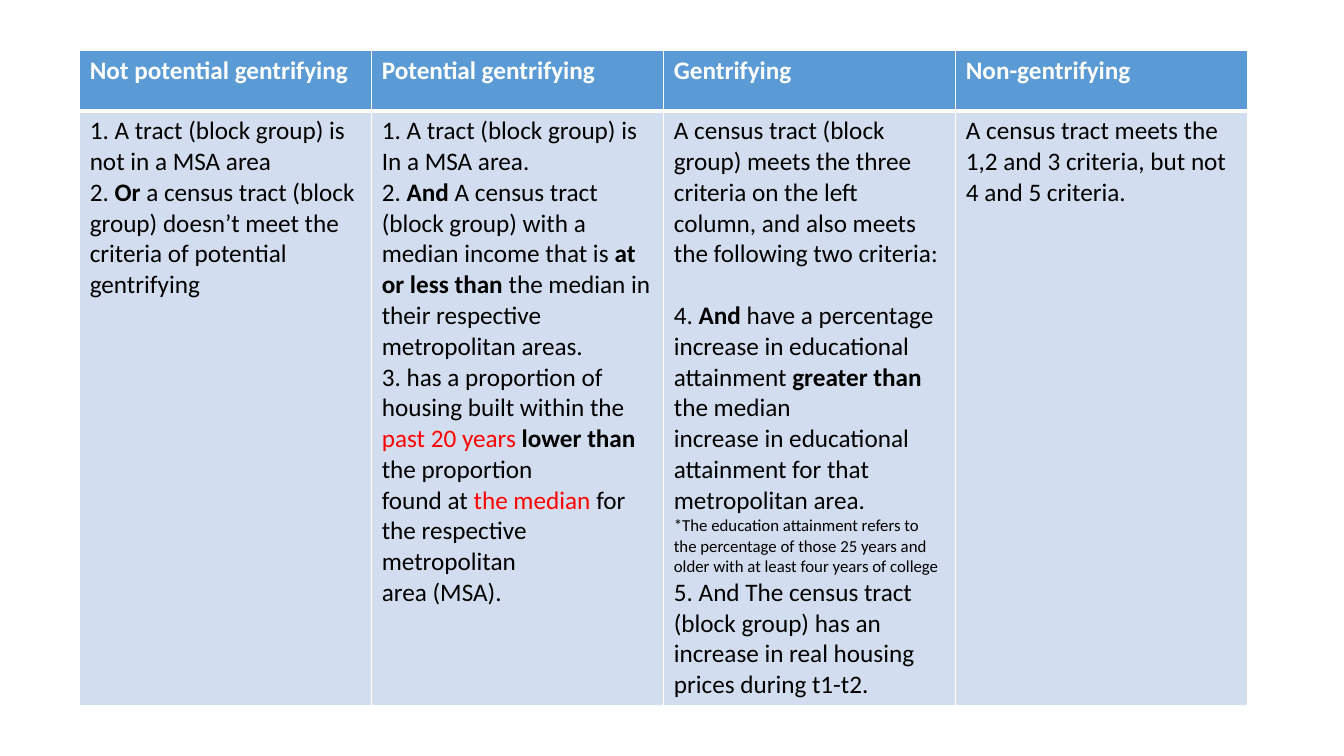
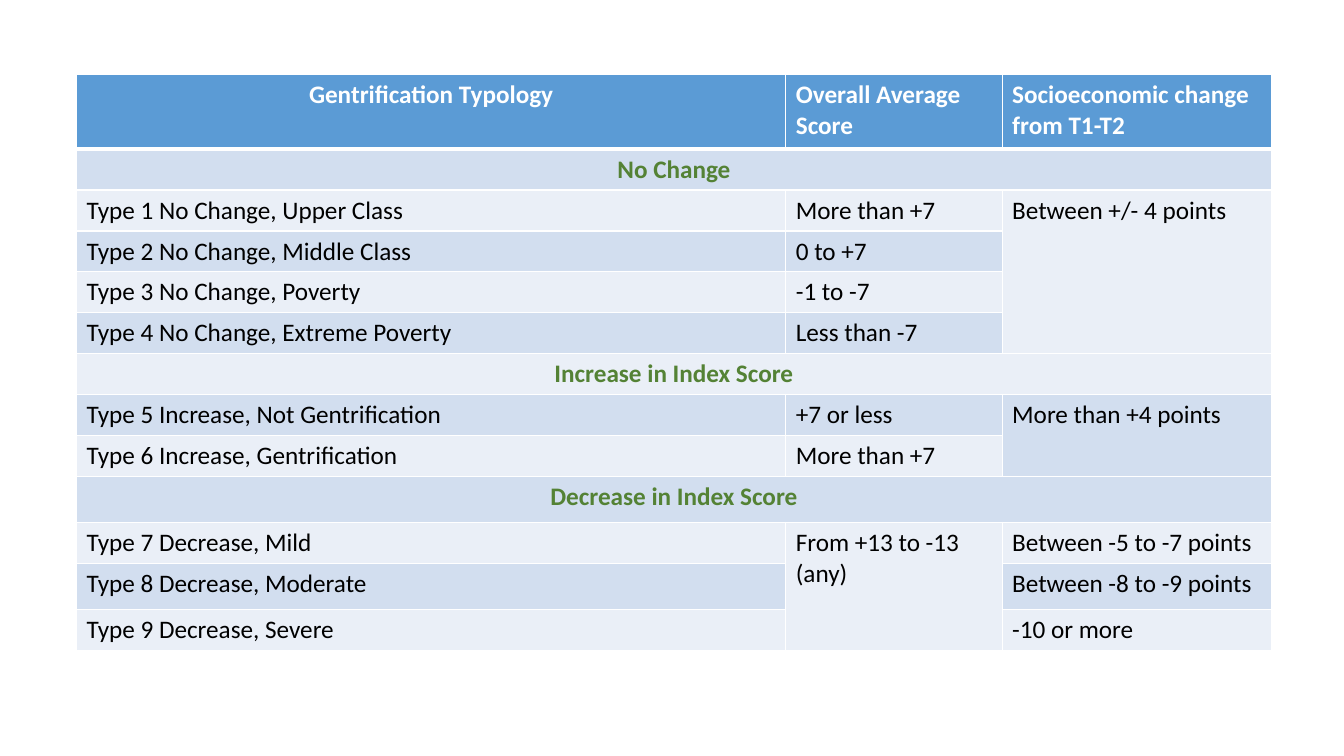
import dataclasses
import typing

import pptx
import pptx.dml.color
import pptx.enum.text
import pptx.oxml
import pptx.oxml.ns
import pptx.util

# Shared look
COLORS = {
    "header": "5B9BD5", "dark_band": "D2DEEF", "light_band": "EAEFF7",
    "white": "FFFFFF", "black": "000000", "red": "FF0000", "green": "548235",
}
FONT = "Calibri"
BODY_PT, NOTE_PT, LINE_PT = 18, 12, 22
THIN_PT, THICK_PT = 1, 3
SLIDE_W, SLIDE_H = pptx.util.Inches(13.333), pptx.util.Inches(7.5)


@dataclasses.dataclass
class Run:
    text: str
    bold: bool = False
    color: str = "black"


@dataclasses.dataclass
class Para:
    runs: list[Run]
    size: int = BODY_PT
    before: int = 0
    centered: bool = False


@dataclasses.dataclass
class Cell:
    paras: list[Para]
    rows: int = 1
    cols: int = 1


@dataclasses.dataclass
class TableSpec:
    """Positions, column widths and row heights are percentages of the slide."""
    left: float
    top: float
    widths: list[float]
    heights: list[float]
    cells: list[list[typing.Optional[Cell]]]


def plain(text: str, rows: int = 1) -> Cell:
    return Cell([Para([Run(text)])], rows=rows)


def heading(text: str, centered: bool = False) -> Cell:
    return Cell([Para([Run(text, True, "white")], centered=centered)])


def section(text: str) -> list[typing.Optional[Cell]]:
    return [Cell([Para([Run(text, True, "green")], centered=True)], cols=3), None, None]


def across(share: float) -> int:
    return round(SLIDE_W * share / 100)


def down(share: float) -> int:
    return round(SLIDE_H * share / 100)


def set_borders(cell: typing.Any, bottom_pt: int) -> None:
    tc_pr = cell._tc.get_or_add_tcPr()
    for side in "LRTB":
        width = pptx.util.Pt(bottom_pt if side == "B" else THIN_PT)
        tc_pr.append(pptx.oxml.parse_xml(
            f'<a:ln{side} {pptx.oxml.ns.nsdecls("a")} w="{width}"><a:solidFill>'
            f'<a:srgbClr val="{COLORS["white"]}"/></a:solidFill></a:ln{side}>'))


def fill_text(tf: typing.Any, paras: list[Para]) -> None:
    for i, para in enumerate(paras):
        p = tf.add_paragraph() if i else tf.paragraphs[0]
        if para.centered:
            p.alignment = pptx.enum.text.PP_ALIGN.CENTER
        if para.before:
            p.space_before = pptx.util.Pt(para.before)
        for run in para.runs:
            r = p.add_run()
            r.text = run.text
            r.font.name, r.font.size = FONT, pptx.util.Pt(para.size)
            r.font.bold = run.bold
            r.font.color.rgb = pptx.dml.color.RGBColor.from_string(COLORS[run.color])


def band(row: int) -> str:
    if row == 0:
        return COLORS["header"]
    return COLORS["dark_band" if row % 2 else "light_band"]


def add_table_slide(prs: typing.Any, spec: TableSpec) -> None:
    s = prs.slides.add_slide(prs.slide_layouts[6])
    table = s.shapes.add_table(
        len(spec.heights), len(spec.widths), across(spec.left), down(spec.top),
        across(sum(spec.widths)), down(sum(spec.heights))).table
    table.first_row = table.horz_banding = False
    for column, share in zip(table.columns, spec.widths):
        column.width = across(share)
    for row, share in zip(table.rows, spec.heights):
        row.height = down(share)
    for i, line in enumerate(spec.cells):
        for j, content in enumerate(line):
            cell = table.cell(i, j)
            set_borders(cell, THIN_PT if i else THICK_PT)
            cell.fill.solid()
            cell.fill.fore_color.rgb = pptx.dml.color.RGBColor.from_string(band(i))
            if content is None:
                continue
            if content.rows > 1 or content.cols > 1:
                cell.merge(table.cell(i + content.rows - 1, j + content.cols - 1))
            fill_text(cell.text_frame, content.paras)


# Slide 1: criteria for each tract class
NOT_POTENTIAL = Cell([
    Para([Run("1. A tract (block group) is not in a MSA area")]),
    Para([Run("2."), Run(" Or ", True),
          Run("a census tract (block group) doesn’t meet the criteria of "
              "potential gentrifying")]),
])
POTENTIAL = Cell([
    Para([Run("1. A tract (block group) is In a MSA area.")]),
    Para([Run("2. "), Run("And", True),
          Run(" A census tract (block group) with a median income that is "),
          Run("at or less than ", True),
          Run("the median in their respective metropolitan areas.")]),
    Para([Run("3. has a proportion of housing built within the "),
          Run("past 20 years ", color="red"), Run("lower than ", True),
          Run("the proportion")]),
    Para([Run("found at "), Run("the median ", color="red"),
          Run("for the respective metropolitan")]),
    Para([Run("area (MSA).")]),
])
GENTRIFYING = Cell([
    Para([Run("A census tract (block group) meets the three criteria on the left "
              "column, and also meets the following two criteria:")]),
    Para([Run("4. "), Run("And", True),
          Run(" have a percentage increase in educational attainment "),
          Run("greater than ", True), Run("the median")], before=LINE_PT),
    Para([Run("increase in educational attainment for that metropolitan area.")]),
    Para([Run("*The education attainment refers to the percentage of those 25 years "
              "and older with at least four years of college")], size=NOTE_PT),
    Para([Run("5. And The census tract (block group) has an increase in real housing "
              "prices during t1-t2.")]),
])
NON_GENTRIFYING = plain(
    "A census tract meets the 1,2 and 3 criteria, but not 4 and 5 criteria.")

CRITERIA = TableSpec(
    left=5.93, top=6.67, widths=[21.73] * 4, heights=[8, 74.53],
    cells=[
        [heading(t) for t in ("Not potential gentrifying", "Potential gentrifying",
                              "Gentrifying", "Non-gentrifying")],
        [NOT_POTENTIAL, POTENTIAL, GENTRIFYING, NON_GENTRIFYING],
    ])

# Slide 2: typology by score and change
ROW, TALL_ROW = 5.4, 6.1
TYPOLOGY = TableSpec(
    left=5.7, top=9.87, widths=[52.77, 16.1, 20.03],
    heights=[9.87] + [ROW] * 8 + [TALL_ROW, ROW, TALL_ROW, ROW],
    cells=[
        [heading("Gentrification Typology", centered=True),
         heading("Overall Average Score"), heading("Socioeconomic change from T1-T2")],
        section("No Change"),
        [plain("Type 1 No Change, Upper Class"), plain("More than +7"),
         plain("Between +/- 4 points", rows=4)],
        [plain("Type 2 No Change, Middle Class"), plain("0 to +7"), None],
        [plain("Type 3 No Change, Poverty"), plain("-1 to -7"), None],
        [plain("Type 4 No Change, Extreme Poverty"), plain("Less than -7"), None],
        section("Increase in Index Score"),
        [plain("Type 5 Increase, Not Gentrification"), plain("+7 or less"),
         plain("More than +4 points", rows=2)],
        [plain("Type 6 Increase, Gentrification"), plain("More than +7"), None],
        section("Decrease in Index Score"),
        [plain("Type 7 Decrease, Mild"), plain("From +13 to -13 (any)", rows=3),
         plain("Between -5 to -7 points")],
        [plain("Type 8 Decrease, Moderate"), None, plain("Between -8 to -9 points")],
        [plain("Type 9 Decrease, Severe"), None, plain("-10 or more")],
    ])


def main() -> None:
    prs = pptx.Presentation()
    prs.slide_width, prs.slide_height = SLIDE_W, SLIDE_H
    for spec in (CRITERIA, TYPOLOGY):
        add_table_slide(prs, spec)
    prs.save("out.pptx")


if __name__ == "__main__":
    main()
